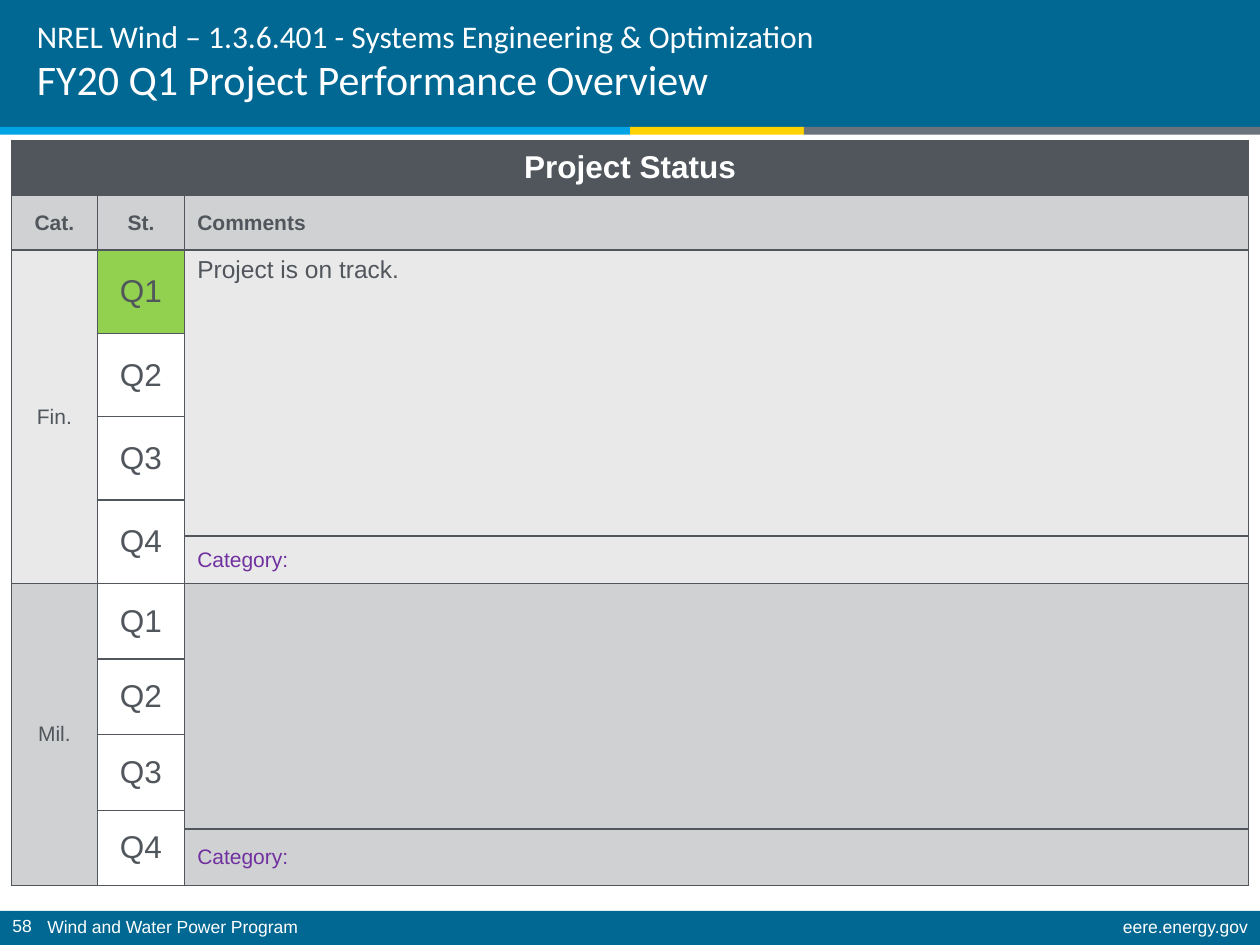
from pptx import Presentation
from pptx.dml.color import RGBColor
from pptx.enum.shapes import MSO_SHAPE as Shape
from pptx.enum.text import MSO_ANCHOR as Anchor, PP_ALIGN as Align
from pptx.oxml import parse_xml
from pptx.oxml.ns import nsdecls
from pptx.util import Pt

BLUE, SLATE, WHITE = "006892", "50565C", "FFFFFF"
LIGHT, GRAY, GREEN, PURPLE = "E9E9EA", "D0D1D2", "92D050", "7030A0"


def color(code):
    return RGBColor.from_string(code)


def add_span(para, text, size, code, font="Arial", bold=False):
    span = para.add_run()
    span.text = text
    span.font.size = Pt(size)
    span.font.name = font
    span.font.bold = bold
    span.font.color.rgb = color(code)


deck = Presentation()
deck.slide_width, deck.slide_height = Pt(720), Pt(540)
page = deck.slides.add_slide(deck.slide_layouts[6])

# Header and footer bands, with the three-colour stripe
bands = [
    (0, 0, 720, 72.7, BLUE),
    (0, 520.5, 720, 19.5, BLUE),
    (0, 72.5, 360, 4.4, "00A4E4"),
    (360, 72.5, 99.4, 4.4, "FFD200"),
    (459.4, 72.5, 260.6, 4.4, "6A737B"),
]
for left, top, width, height, code in bands:
    band = page.shapes.add_shape(Shape.RECTANGLE, Pt(left), Pt(top), Pt(width), Pt(height))
    band.shadow.inherit = False
    band.fill.solid()
    band.fill.fore_color.rgb = color(code)
    band.line.fill.background()

# Footer texts
footers = [
    ("Wind and Water Power Program", 20, 521.3, 574, 18.7, Align.LEFT, 0.9),
    ("eere.energy.gov", 431, 521.3, 289, 18.7, Align.RIGHT, 0.9),
    ("58", 0, 519.3, 31, 19.4, Align.LEFT, 1.0),
]
for text, left, top, width, height, align, spacing in footers:
    box = page.shapes.add_textbox(Pt(left), Pt(top), Pt(width), Pt(height))
    box.text_frame.word_wrap = True
    para = box.text_frame.paragraphs[0]
    para.alignment = align
    para.line_spacing = spacing
    add_span(para, text, 10, WHITE)

# Title
title = page.shapes.add_textbox(Pt(14), Pt(0), Pt(502.5), Pt(62.6))
title.text_frame.word_wrap = True
title.text_frame.vertical_anchor = Anchor.MIDDLE
para = title.text_frame.paragraphs[0]
para.line_spacing = Pt(28)
add_span(para, "NREL Wind – 1.3.6.401 - Systems Engineering & Optimization", 18, WHITE, "Calibri")
para.add_line_break()
add_span(para, "FY20 Q1 Project Performance Overview", 24, WHITE, "Calibri")

# Status table grid
widths = [49, 50, 608]
heights = [31.2, 31.4] + [47.6] * 3 + [20.6, 27.1] + [43.2] * 3 + [10.8, 32.3]
table = page.shapes.add_table(len(heights), len(widths), Pt(6.6), Pt(80.4),
                              Pt(sum(widths)), Pt(sum(heights))).table
table.horz_banding = False
for column, width in zip(table.columns, widths):
    column.width = Pt(width)
for row, height in zip(table.rows, heights):
    row.height = Pt(height)

# Cells: row, column, rows spanned, columns spanned, text, size, text colour, fill, bold
cells = [
    (0, 0, 1, 3, "Project Status", 18, WHITE, SLATE, True),
    (1, 0, 1, 1, "Cat.", 12, SLATE, GRAY, True),
    (1, 1, 1, 1, "St.", 12, SLATE, GRAY, True),
    (1, 2, 1, 1, "Comments", 12, SLATE, GRAY, True),
]
sections = [
    (2, "Fin.", "Project is on track.", LIGHT, GREEN),
    (7, "Mil.", "", GRAY, WHITE),
]
for first, name, comment, fill, status in sections:
    cells.append((first, 0, 5, 1, name, 12, SLATE, fill, False))
    for quarter in range(4):
        cells.append((first + quarter, 1, 2 if quarter == 3 else 1, 1, f"Q{quarter + 1}",
                      18, SLATE, WHITE if quarter else status, False))
    cells.append((first, 2, 4, 1, comment, 14, SLATE, fill, False))
    cells.append((first + 4, 2, 1, 1, "Category:", 12, PURPLE, fill, False))

for row, column, down, across, text, size, code, fill, bold in cells:
    cell = table.cell(row, column)
    if down > 1 or across > 1:
        cell.merge(table.cell(row + down - 1, column + across - 1))
    cell.fill.solid()
    cell.fill.fore_color.rgb = color(fill)
    is_comment = column == 2 and down > 1
    cell.vertical_anchor = Anchor.TOP if is_comment else Anchor.MIDDLE
    if column < 2 and row > 0:
        cell.margin_left = cell.margin_right = cell.margin_top = cell.margin_bottom = 0
    elif text == "Category:":
        cell.margin_right = cell.margin_top = cell.margin_bottom = 0
    para = cell.text_frame.paragraphs[0]
    para.alignment = Align.LEFT if column == 2 else Align.CENTER
    if text:
        add_span(para, text, size, code, bold=bold)

# Borders on every side of every cell
for cell in table.iter_cells():
    properties = cell._tc.get_or_add_tcPr()
    for index, side in enumerate(["lnL", "lnR", "lnT", "lnB"]):
        properties.insert(index, parse_xml(
            f'<a:{side} {nsdecls("a")} w="12700"><a:solidFill>'
            f'<a:srgbClr val="{SLATE}"/></a:solidFill></a:{side}>'))

deck.save("out.pptx")
